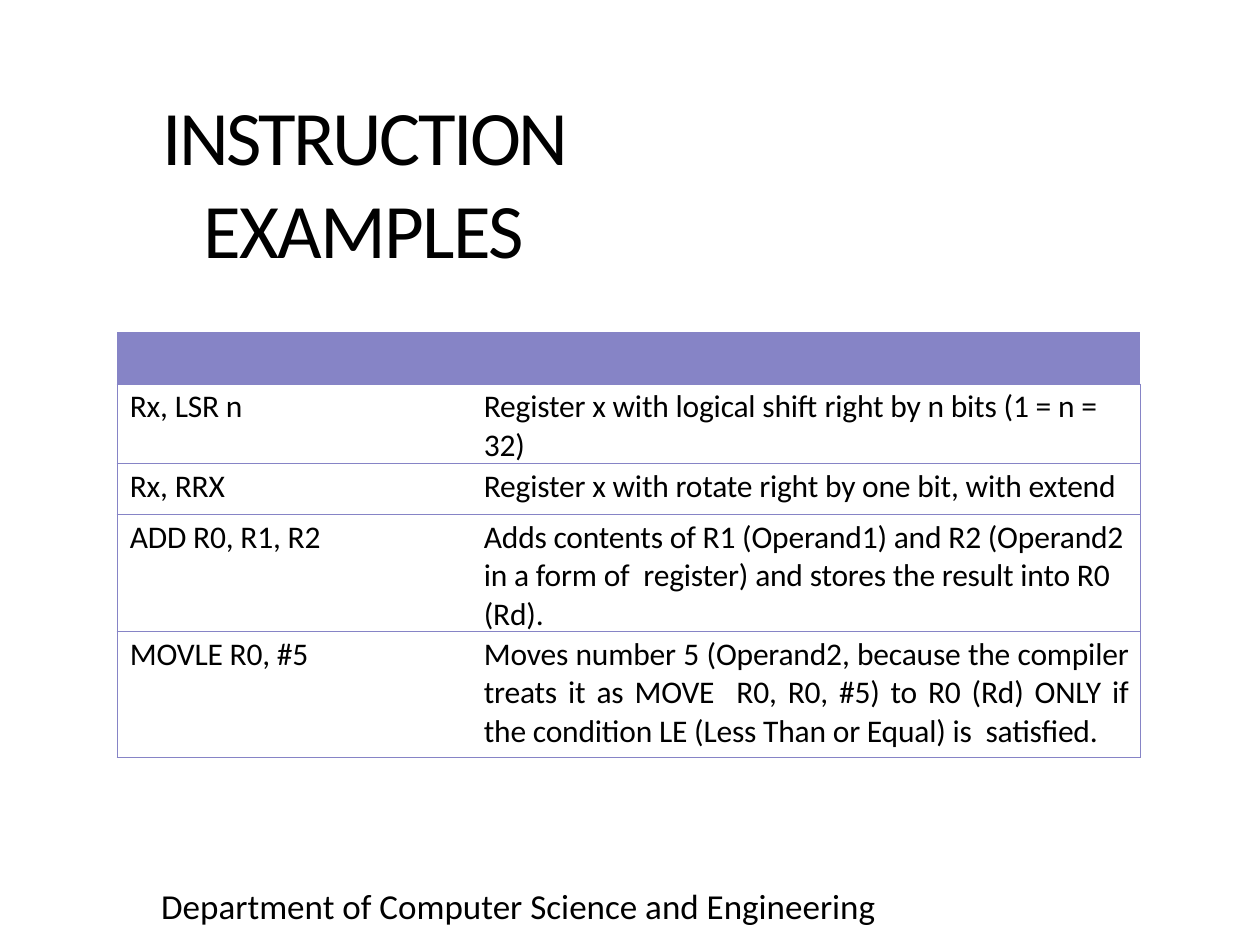
import pptx
import pptx.dml.color
import pptx.enum.text
import pptx.oxml
import pptx.oxml.ns
import pptx.util

Pt = pptx.util.Pt
Align = pptx.enum.text.PP_ALIGN
Anchor = pptx.enum.text.MSO_ANCHOR

COLORS = {"text": "000000", "rule": "8684C6"}
WIDTHS = [140.5, 444]
HEAD = 30
ROWS = [
    (29, "Rx, LSR n",
     "Register x with logical shift right by n bits (1 = n = 32)"),
    (29, "Rx, RRX",
     "Register x with rotate right by one bit, with extend"),
    (29.5, "ADD R0, R1, R2",
     "Adds contents of R1 (Operand1) and R2 (Operand2 in a form of  register) "
     "and stores the result into R0 (Rd)."),
    (72, "MOVLE R0, #5",
     "Moves number 5 (Operand2, because the compiler treats it as "
     "MOVE  R0, R0, #5) to R0 (Rd) ONLY if the condition LE "
     "(Less Than or Equal) is  satisfied."),
]


def color(name):
    return pptx.dml.color.RGBColor.from_string(COLORS[name])


def write(frame, *parts, size=18, font="Calibri", align=Align.LEFT,
          before=0, insets=(0, 0, 0, 0)):
    """Fill one paragraph with (text, letter spacing in points) parts."""
    frame.word_wrap = True
    (frame.margin_left, frame.margin_top,
     frame.margin_right, frame.margin_bottom) = map(Pt, insets)
    para = frame.paragraphs[0]
    para.alignment = align
    para.space_before = Pt(before)
    for text, gap in parts:
        run = para.add_run()
        run.text = text
        run.font.size = Pt(size)
        run.font.name = font
        run.font.color.rgb = color("text")
        if gap:
            run._r.get_or_add_rPr().set("spc", str(round(gap * 100)))


def edge(cell, sides):
    """Rule the given sides of a cell and clear the others."""
    props = cell._tc.get_or_add_tcPr()
    space = pptx.oxml.ns.nsdecls("a")
    for spot, side in enumerate("LRTB"):
        fill = "<a:noFill/>"
        if side in sides:
            fill = (f'<a:solidFill><a:srgbClr val="{COLORS["rule"]}"/>'
                    "</a:solidFill>")
        line = f'<a:ln{side} {space} w="{Pt(0.75)}">{fill}</a:ln{side}>'
        props.insert(spot, pptx.oxml.parse_xml(line))


class Page:
    def __init__(self, deck):
        self.slide = deck.slides.add_slide(deck.slide_layouts[5])

    def title(self, box, *parts):
        shape = self.slide.shapes.title
        shape.left, shape.top, shape.width, shape.height = map(Pt, box)
        frame = shape.text_frame
        frame.vertical_anchor = Anchor.MIDDLE
        frame.auto_size = pptx.enum.text.MSO_AUTO_SIZE.SHAPE_TO_FIT_TEXT
        write(frame, *parts, size=44, align=Align.CENTER, before=1,
              insets=(0, 1, 0, 0))

    def label(self, box, text):
        shape = self.slide.shapes.add_textbox(*map(Pt, box))
        write(shape.text_frame, (text, 0), size=20,
              insets=(7.2, 3.6, 7.2, 3.6))

    def table(self, left, top):
        highs = [HEAD] + [row[0] for row in ROWS]
        grid = self.slide.shapes.add_table(
            len(highs), len(WIDTHS), Pt(left), Pt(top),
            Pt(sum(WIDTHS)), Pt(sum(highs))).table
        grid.first_row = grid.horz_banding = False
        for col, width in zip(grid.columns, WIDTHS):
            col.width = Pt(width)
        for row, high in zip(grid.rows, highs):
            row.height = Pt(high)

        for cell in grid.rows[0].cells:
            cell.fill.solid()
            cell.fill.fore_color.rgb = color("rule")
            edge(cell, "")
        grid.cell(0, 0).merge(grid.cell(0, 1))

        for spot, (high, code, note) in enumerate(ROWS, 1):
            last = spot == len(ROWS)
            self.cell(grid.cell(spot, 0), code, 7.2, "LTB")
            self.cell(grid.cell(spot, 1), note, 69, "RTB",
                      Align.JUSTIFY if last else Align.LEFT)

    def cell(self, cell, text, inset, sides, align=Align.LEFT):
        cell.fill.background()
        edge(cell, sides)
        cell.margin_left, cell.margin_right = Pt(inset), Pt(6.5)
        cell.margin_top, cell.margin_bottom = Pt(2.2), Pt(0)
        write(cell.text_frame, (text, -0.1), align=align, before=2.5,
              insets=(inset, 2.2, 6.5, 0))


def main():
    deck = pptx.Presentation()
    deck.slide_width, deck.slide_height = Pt(720), Pt(540)
    page = Page(deck)
    page.title((72, 49, 272, 108), ("INSTRUCTION ", -1.5), ("EXAMPLES", -1))
    page.table(67, 189.5)
    page.label((85, 502, 443, 31),
               "Department of Computer Science and Engineering")
    deck.save("out.pptx")


if __name__ == "__main__":
    main()
